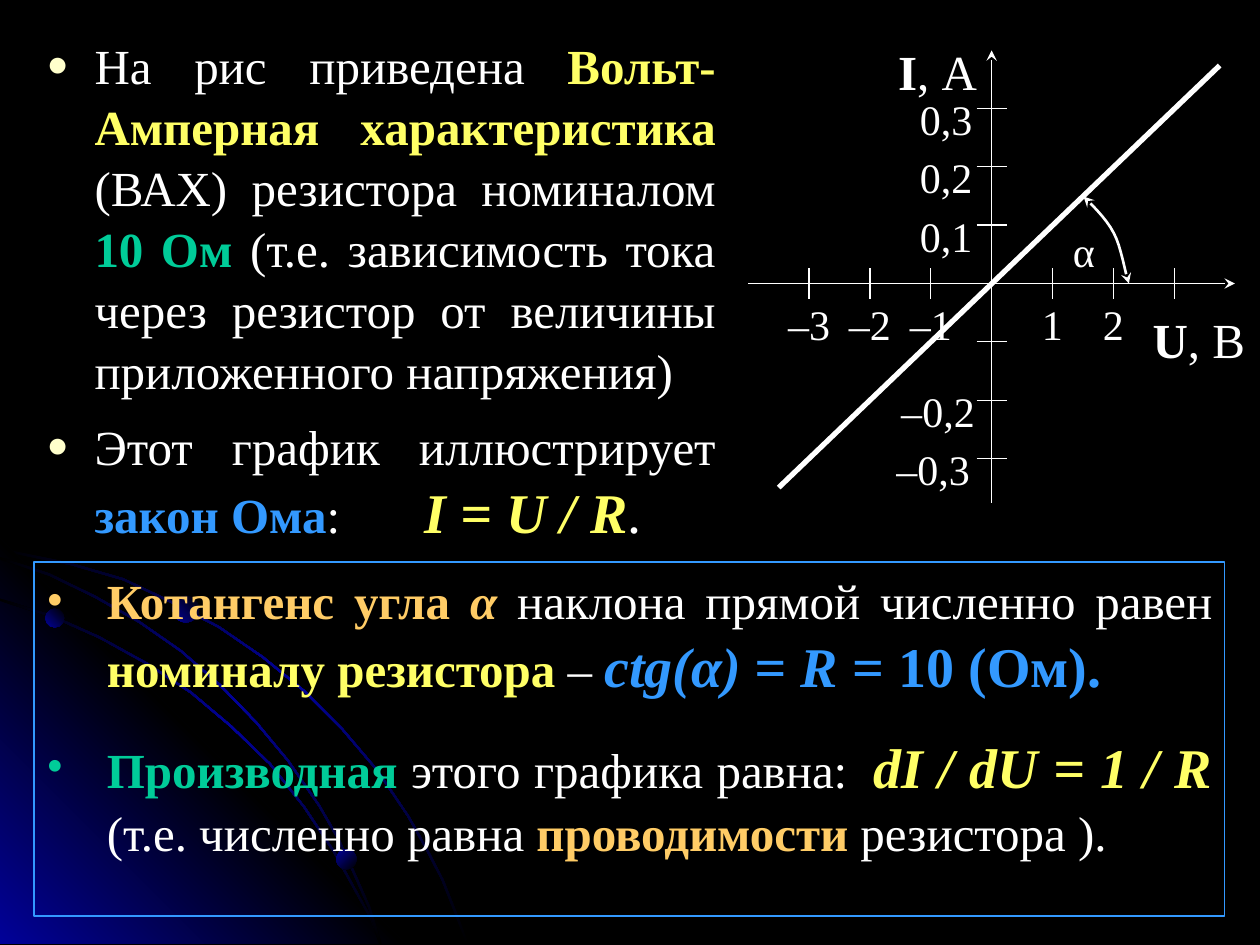
from lxml import etree
from pptx import Presentation
from pptx.dml.color import RGBColor
from pptx.enum.shapes import MSO_CONNECTOR, MSO_SHAPE
from pptx.enum.text import MSO_ANCHOR, MSO_AUTO_SIZE, PP_ALIGN
from pptx.oxml import parse_xml
from pptx.oxml.ns import nsdecls, qn
from pptx.util import Inches, Pt

LINE = MSO_CONNECTOR.STRAIGHT
OVAL, RECT = MSO_SHAPE.OVAL, MSO_SHAPE.RECTANGLE
LEFT, CENTER, JUSTIFY = PP_ALIGN.LEFT, PP_ALIGN.CENTER, PP_ALIGN.JUSTIFY
TOP, NO_FIT = MSO_ANCHOR.TOP, MSO_AUTO_SIZE.NONE
FONT = "Times New Roman"
BLACK, NAVY, WHITE = "000000", "010199", "FFFFFF"
YELLOW, GREEN, BLUE, ORANGE, CREAM = "FFFF66", "00CC99", "3399FF", "FFCC66", "FFFFCC"
rgb = RGBColor.from_string

prs = Presentation()
prs.slide_width, prs.slide_height = Inches(10), Inches(7.5)
s = prs.slides.add_slide(prs.slide_layouts[1])
title, body = s.placeholders
title.element.getparent().remove(title.element)
s.background.fill.solid()
s.background.fill.fore_color.rgb = rgb(BLACK)


def write(tf, paragraphs, margins=(0.1, 0.05), spacing=1.0):
    """Fill a frame; a paragraph is (align, space before, bullet, tab, runs).

    A bullet is (character, colour, percent, indent); a run is
    (text, size, colour, style), where style holds "b" and "i".
    """
    tf.word_wrap, tf.auto_size, tf.vertical_anchor = True, NO_FIT, TOP
    tf.margin_left = tf.margin_right = Inches(margins[0])
    tf.margin_top = tf.margin_bottom = Inches(margins[1])
    for i, (align, before, bullet, tab, runs) in enumerate(paragraphs):
        p = tf.add_paragraph() if i else tf.paragraphs[0]
        p.alignment, p.line_spacing = align, spacing
        p.space_before = Pt(before)
        pPr = p._p.get_or_add_pPr()
        if bullet:
            char, color, percent, indent = bullet
            pPr.set("marL", str(Inches(indent)))
            pPr.set("indent", str(-Inches(indent)))
            clr = etree.SubElement(pPr, qn("a:buClr"))
            etree.SubElement(clr, qn("a:srgbClr"), val=color)
            etree.SubElement(pPr, qn("a:buSzPct"), val=str(percent * 1000))
            etree.SubElement(pPr, qn("a:buFont"), typeface=FONT)
            etree.SubElement(pPr, qn("a:buChar"), char=char)
        if tab:
            tabs = etree.SubElement(pPr, qn("a:tabLst"))
            etree.SubElement(tabs, qn("a:tab"), pos=str(Inches(tab)), algn="l")
        for text, size, color, style in runs:
            if text == "\n":
                p.add_line_break()
                continue
            r = p.add_run()
            r.text = text
            r.font.name, r.font.size, r.font.color.rgb = FONT, Pt(size), rgb(color)
            r.font.bold, r.font.italic = "b" in style, "i" in style


def paint_gradient(sp, colors, angle):
    sp.shadow.inherit = False
    sp.line.fill.background()
    last = len(colors) - 1
    stops = "".join(
        f'<a:gs pos="{100000 * i // last}"><a:srgbClr val="{c}"/></a:gs>'
        for i, c in enumerate(colors))
    geometry = sp._element.spPr.find(qn("a:custGeom"))
    if geometry is None:
        geometry = sp._element.spPr.find(qn("a:prstGeom"))
    geometry.addnext(parse_xml(
        f'<a:gradFill rotWithShape="1" {nsdecls("a")}><a:gsLst>{stops}</a:gsLst>'
        f'<a:lin ang="{angle * 60000}" scaled="0"/></a:gradFill>'))


# Background: a glowing corner, three orbits and three planets
orbits = [
    [(0, 4.35), (0.28, 4.41), (0.57, 4.47), (0.98, 4.59), (1.36, 4.77), (1.74, 4.97),
     (2.09, 5.21), (2.42, 5.48), (2.72, 5.78), (3, 6.11), (3.25, 6.48), (3.39, 6.73),
     (3.52, 6.98), (3.62, 7.23), (3.72, 7.49)],
    [(0, 4.75), (0.41, 4.88), (0.79, 5.05), (1.17, 5.26), (1.52, 5.49), (1.84, 5.76),
     (2.15, 6.06), (2.42, 6.4), (2.66, 6.76), (2.86, 7.12), (2.96, 7.3), (3.03, 7.49)],
    [(0, 4.42), (0.39, 4.55), (0.76, 4.73), (1.11, 4.93), (1.44, 5.16), (1.75, 5.43),
     (2.04, 5.73), (2.29, 6.03), (2.54, 6.39), (2.69, 6.65), (2.82, 6.93), (2.94, 7.2),
     (3.03, 7.49)],
]
outlines = []
for outer in orbits:
    n = len(outer) - 1
    inner = [(x - 0.02 * i / n, y + 0.02 * (1 - i / n)) for i, (x, y) in enumerate(outer)]
    outlines.append((outer + inner[::-1], [BLACK, NAVY, BLACK], 225))
corner = ([(3.22, 7.49), (0, 7.49), (0, 4.27)], [NAVY, BLACK, NAVY], 135)
outlines.insert(1, corner)
for points, colors, angle in outlines:
    fb = s.shapes.build_freeform(Inches(points[0][0]), Inches(points[0][1]))
    fb.add_line_segments([(Inches(x), Inches(y)) for x, y in points[1:]])
    paint_gradient(fb.convert_to_shape(), colors, angle)
for x, y, size, angle in [(0.36, 4.83, 0.15, 135), (2.67, 6.74, 0.16, 225),
                          (1.37, 4.73, 0.21, 135)]:
    planet = s.shapes.add_shape(OVAL, Inches(x), Inches(y), Inches(size), Inches(size))
    paint_gradient(planet, [BLACK, NAVY], angle)

# Explanation on the left
s.shapes._spTree.append(body.element)
body.left, body.top, body.width, body.height = map(Inches, (0.27, 0.21, 5.51, 4.1))
dot = ("●", CREAM, 75, 0.38)
write(body.text_frame, [
    (JUSTIFY, 0, dot, None, [
        ("На рис приведена ", 28, WHITE, ""),
        ("Вольт-Амперная характеристика", 28, YELLOW, "b"),
        (" (ВАХ) резистора номиналом ", 28, WHITE, ""),
        ("10 Ом", 28, GREEN, "b"),
        (" (т.е. зависимость тока через резистор от величины приложенного напряжения)",
         28, WHITE, "")]),
    (JUSTIFY, 8, dot, 3, [
        ("Этот график иллюстрирует ", 28, WHITE, ""),
        ("закон Ома", 28, BLUE, "b"),
        (":", 28, WHITE, ""),
        ("\t", 32, WHITE, ""),
        ("I = U / R", 32, YELLOW, "bi"),
        (".", 32, WHITE, "")]),
], spacing=1.04)

# Graph: axes, ticks and the characteristic
X0, Y0, DX, DY, TICK = 7.87, 2.25, 0.483, 0.463, 0.12
lines = [(X0, 3.99, X0, 0.4, 0.75, True), (5.94, Y0, 9.8, Y0, 0.75, True)]
for i in range(-3, 4):
    x, y = X0 + i * DX, Y0 - i * DY
    lines.append((X0 - TICK, y, X0 + TICK, y, 0.75, False))
    if i:
        lines.append((x, Y0 - TICK, x, Y0 + TICK, 0.75, False))
lines.append((6.18, 3.87, 9.68, 0.52, 3, False))
for x1, y1, x2, y2, width, arrow in lines:
    line = s.shapes.add_connector(LINE, Inches(x1), Inches(y1), Inches(x2), Inches(y2))
    line.line.color.rgb, line.line.width = rgb(WHITE), Pt(width)
    if arrow:
        etree.SubElement(line.line._get_or_add_ln(), qn("a:tailEnd"), type="stealth")
    etree.SubElement(line._element.spPr, qn("a:effectLst"))

# Angle arc, traced along two Bezier curves
curves = [[(8.6, 1.56), (8.64, 1.6), (8.78, 1.73), (8.84, 1.85)],
          [(8.84, 1.85), (8.9, 1.96), (8.93, 2.17), (8.96, 2.25)]]
STEPS = 8
arc_points = []
for curve in curves:
    for t in [k / STEPS for k in range(1, STEPS + 1)]:
        weights = ((1 - t) ** 3, 3 * t * (1 - t) ** 2, 3 * t * t * (1 - t), t ** 3)
        arc_points.append([Inches(sum(w * pt[axis] for w, pt in zip(weights, curve)))
                           for axis in (0, 1)])
fb = s.shapes.build_freeform(Inches(8.6), Inches(1.56))
fb.add_line_segments(arc_points, close=False)
arc = fb.convert_to_shape()
arc.shadow.inherit = False
arc.fill.background()
arc.line.color.rgb, arc.line.width = rgb(WHITE), Pt(1.5)
for end in ("a:headEnd", "a:tailEnd"):
    etree.SubElement(arc.line._get_or_add_ln(), qn(end), type="stealth")

# Graph labels
labels = [(X0 + i * DX - DX / 2, Y0 + TICK, DX, str(i).replace("-", "–"))
          for i in (-3, -2, -1, 1, 2)]
labels += [(X0 - TICK - DX, Y0 - i * DY - TICK, DX, f"0,{i}") for i in (1, 2, 3)]
labels += [(7.13, Y0 + 2 * DY - TICK, 0.63, "–0,2"),
           (7.05, Y0 + 3 * DY - TICK, 0.71, "–0,3"),
           (8.36, 1.79, DX, "α")]
for x, y, w, text in labels:
    tb = s.shapes.add_textbox(Inches(x), Inches(y), Inches(w), Inches(0.35))
    write(tb.text_frame, [(CENTER, 0, None, None, [(text, 24, WHITE, "")])], (0, 0))
for x, y, w, align, symbol, unit in [(9.03, 2.41, 0.97, CENTER, "U", ", В"),
                                     (7.03, 0.28, 0.84, LEFT, "I", ", А")]:
    tb = s.shapes.add_textbox(Inches(x), Inches(y), Inches(w), Inches(0.46))
    write(tb.text_frame, [(align, 0, None, None, [(symbol, 28, WHITE, "b"),
                                                  (unit, 28, WHITE, "")])])

# Conclusions in the framed box
box = s.shapes.add_shape(RECT, Inches(0.27), Inches(4.46), Inches(9.45), Inches(2.81))
box.shadow.inherit = False
box.fill.background()
box.line.color.rgb, box.line.width = rgb(BLUE), Pt(0.75)
write(box.text_frame, [
    (JUSTIFY, 0, ("•", ORANGE, 100, 0.48), None, [
        ("Котангенс угла ", 28, ORANGE, "b"),
        ("α", 28, ORANGE, "bi"),
        (" наклона прямой численно равен ", 28, WHITE, ""),
        ("номиналу резистора", 28, YELLOW, "b"),
        (" – ", 28, WHITE, ""),
        ("ctg(α) = R", 32, BLUE, "bi"),
        (" = 10 (Ом).", 32, BLUE, "b")]),
    (JUSTIFY, 17.5, ("•", GREEN, 100, 0.48), 6.53, [
        ("Производная", 28, GREEN, "b"),
        (" этого графика равна:", 28, WHITE, ""),
        ("\t", 28, WHITE, ""),
        ("dI / dU = 1 / R", 32, YELLOW, "bi"),
        ("\n", 28, WHITE, ""),
        ("(т.е. численно равна ", 28, WHITE, ""),
        ("проводимости", 28, ORANGE, "b"),
        (" резистора ).", 28, WHITE, "")]),
], spacing=1.04)

prs.save("out.pptx")
